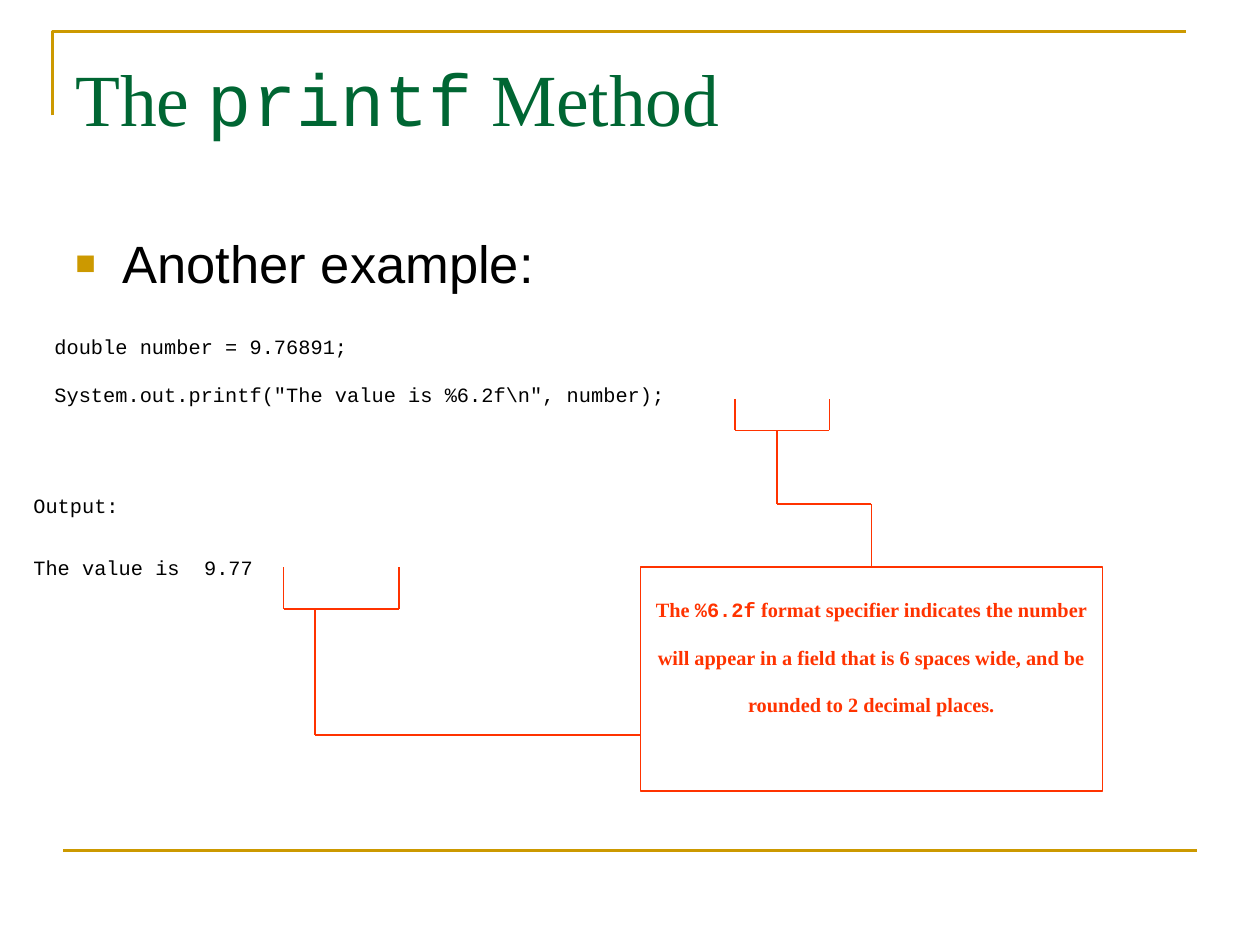
from itertools import pairwise

from lxml import etree
from pptx import Presentation
from pptx.dml.color import RGBColor
from pptx.enum.shapes import MSO_CONNECTOR, MSO_SHAPE
from pptx.enum.text import MSO_ANCHOR, PP_ALIGN
from pptx.oxml.ns import qn
from pptx.util import Pt

STRAIGHT = MSO_CONNECTOR.STRAIGHT
RECT = MSO_SHAPE.RECTANGLE
TOP = MSO_ANCHOR.TOP
LEFT, CENTER = PP_ALIGN.LEFT, PP_ALIGN.CENTER

SERIF, SANS, MONO = "Times New Roman", "Arial", "Courier New"
GOLD, GREEN, RED, BLACK = "CC9900", "006633", "FF3300", "000000"
SMALL = 11.6
LEADING = 27.4


def rgb(color):
    """Turn a hex string into a colour."""
    return RGBColor.from_string(color)


def style_line(line, color, width):
    """Set the colour and width of a line."""
    line.color.rgb = rgb(color)
    line.width = Pt(width)


def add_lines(s, points, color=RED, width=0.75):
    """Join consecutive points with straight connectors."""
    for (x1, y1), (x2, y2) in pairwise(points):
        c = s.shapes.add_connector(STRAIGHT, Pt(x1), Pt(y1), Pt(x2), Pt(y2))
        style_line(c.line, color, width)
        etree.SubElement(c._element.spPr, qn("a:effectLst"))


def add_corner(s, points):
    """Draw the open gold outline around the title."""
    (x, y), *rest = [(Pt(px), Pt(py)) for px, py in points]
    builder = s.shapes.build_freeform(x, y)
    builder.add_line_segments(rest, close=False)
    sp = builder.convert_to_shape()
    sp.fill.background()
    sp.shadow.inherit = False
    style_line(sp.line, GOLD, 1.5)


def fill_text(sp, paragraphs, size, color, bold=False, align=LEFT,
              leading=None, after=0):
    """Write paragraphs, each a list of (text, font) runs."""
    tf = sp.text_frame
    tf.word_wrap = True
    tf.vertical_anchor = TOP
    for i, runs in enumerate(paragraphs):
        p = tf.add_paragraph() if i else tf.paragraphs[0]
        p.alignment = align
        p.space_after = Pt(after)
        if leading:
            p.line_spacing = Pt(leading)
        for text, font in runs:
            r = p.add_run()
            r.text = text
            r.font.name = font
            r.font.size = Pt(size)
            r.font.bold = bold
            r.font.color.rgb = rgb(color)


def add_text(s, box, paragraphs, size, color=BLACK, **options):
    """Add a wrapping text box."""
    sp = s.shapes.add_textbox(*map(Pt, box))
    fill_text(sp, paragraphs, size, color, **options)
    return sp


def add_bullet(p, indent):
    """Give a paragraph a gold square bullet and a hanging indent."""
    pPr = p._p.get_or_add_pPr()
    pPr.set("marL", str(Pt(indent)))
    pPr.set("indent", str(-Pt(indent)))
    clr = etree.SubElement(pPr, qn("a:buClr"))
    etree.SubElement(clr, qn("a:srgbClr"), val=GOLD)
    etree.SubElement(pPr, qn("a:buSzPct"), val="65000")
    etree.SubElement(pPr, qn("a:buFont"), typeface=SANS)
    etree.SubElement(pPr, qn("a:buChar"), char="■")


def add_callout(s, box, runs):
    """Add the outlined explanation box."""
    sp = s.shapes.add_shape(RECT, *map(Pt, box))
    sp.fill.background()
    sp.shadow.inherit = False
    style_line(sp.line, RED, 0.75)
    fill_text(sp, [runs], SMALL, RED, bold=True, align=CENTER, leading=LEADING)


def add_bracket(s, left, right, top, bottom):
    """Draw a bracket that opens upwards."""
    add_lines(s, [(left, top), (left, bottom), (right, bottom), (right, top)])


def main():
    """Build the slide and save it."""
    prs = Presentation()
    prs.slide_width, prs.slide_height = Pt(720), Pt(540)
    s = prs.slides.add_slide(prs.slide_layouts[6])

    add_corner(s, [(30, 66), (30, 18), (678, 18)])
    add_lines(s, [(36, 486), (684, 486)], GOLD, 1.5)

    add_text(s, (36, 26.5, 648, 85),
             [[("The ", SERIF), ("printf", MONO), (" Method", SERIF)]],
             42, GREEN)
    body = add_text(s, (36, 128.5, 648, 50),
                    [[("Another example:", SANS)]], 30)
    add_bullet(body.text_frame.paragraphs[0], 27)

    add_text(s, (24, 174, 666, 62),
             [[("double number = 9.76891;", MONO)],
              [('System.out.printf("The value is %6.2f\\n", number);', MONO)]],
             SMALL, leading=LEADING)
    add_text(s, (12, 265, 640, 70),
             [[("Output:", MONO)], [("The value is  9.77", MONO)]],
             SMALL, leading=LEADING, after=8)

    add_callout(s, (366, 324, 264, 128),
                [("The ", SERIF), ("%6.2f", MONO),
                 (" format specifier indicates the number will appear in a "
                  "field that is 6 spaces wide, and be rounded to 2 decimal "
                  "places.", SERIF)])

    add_bracket(s, 162, 228, 324, 348)
    add_lines(s, [(180, 348), (180, 420), (366, 420)])
    add_bracket(s, 420, 474, 228, 246)
    add_lines(s, [(444, 246), (444, 288), (498, 288), (498, 324)])

    prs.save("out.pptx")


main()
